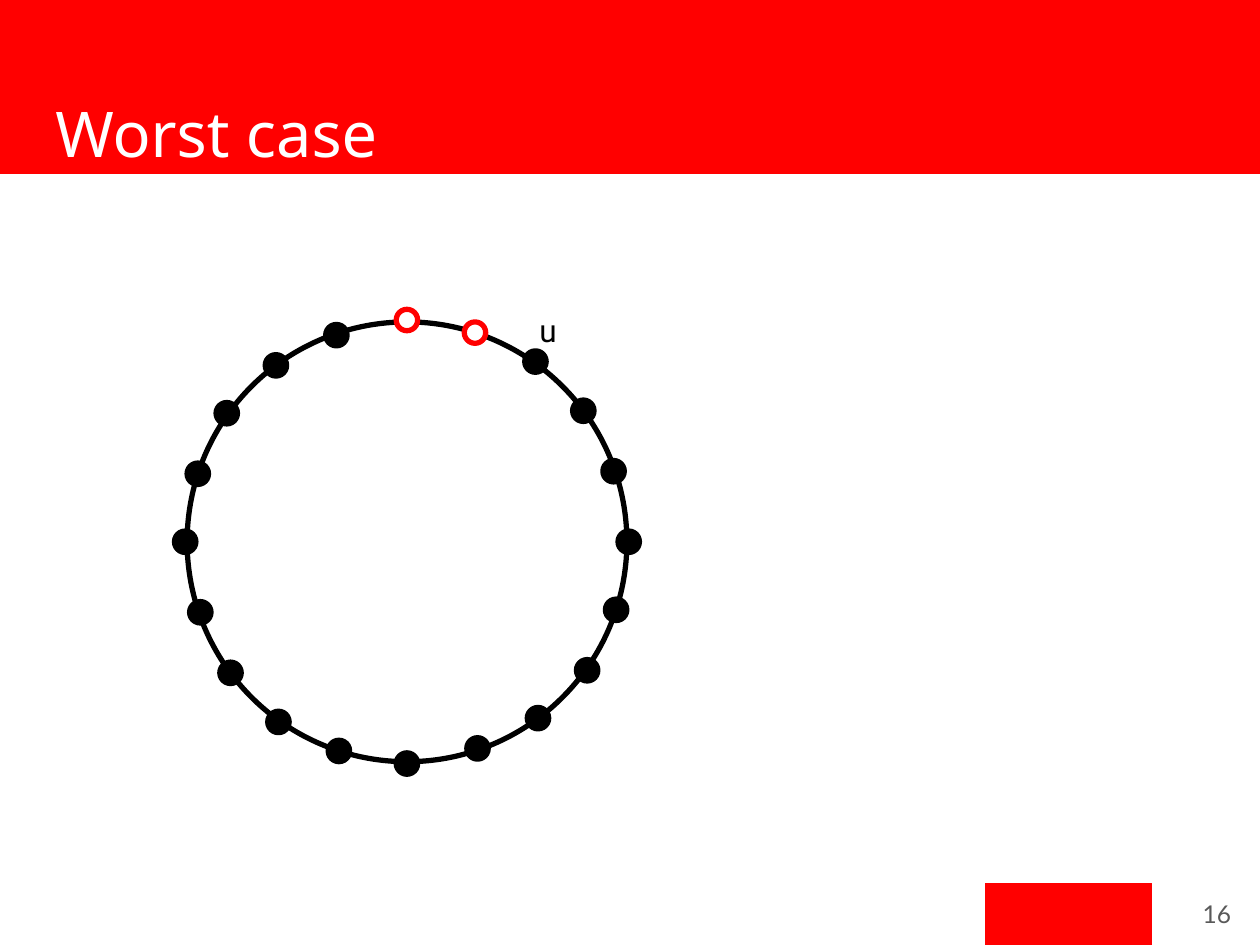
import pptx
import pptx.util
import pptx.dml.color
import pptx.enum.shapes
import pptx.enum.text

Inches, Pt = pptx.util.Inches, pptx.util.Pt
SHAPE = pptx.enum.shapes.MSO_SHAPE
ALIGN = pptx.enum.text.PP_ALIGN
ANCHOR = pptx.enum.text.MSO_ANCHOR

# Content
TITLE, PAGE, NODE_LABEL = "Worst case", "16", "u"
# Node offsets from the ring's centre over a quarter turn, clockwise from the top
QUARTER = [(0, -1.76), (0.54, -1.66), (1.02, -1.43), (1.4, -1.04), (1.64, -0.56)]
OPEN_NODES = {0, 1}

THEME = {
    "red": "FF0000", "black": "000000", "white": "FFFFFF", "grey": "595959",
    "title": ("Noto Sans", 36), "page": ("Lato", 14), "label": ("Roboto", 18),
    "thin": 0.75, "thick": 3,
}

# Layout
WIDTH, HEIGHT = 10, 7.5
CENTRE_X, CENTRE_Y = 3.23, 4.3
RING, NODE = 3.49, 0.17

deck = pptx.Presentation()
deck.slide_width, deck.slide_height = Inches(WIDTH), Inches(HEIGHT)
slide = deck.slides.add_slide(deck.slide_layouts[6])


def colour(name):
    return pptx.dml.color.RGBColor.from_string(THEME[name])


def add_figure(kind, box, fill, line, weight):
    figure = slide.shapes.add_shape(kind, *map(Inches, box))
    figure.shadow.inherit = False
    if fill:
        figure.fill.solid()
        figure.fill.fore_color.rgb = colour(fill)
    else:
        figure.fill.background()
    figure.line.color.rgb = colour(line)
    figure.line.width = Pt(THEME[weight])


def add_text(box, text, style, ink, align, anchor):
    frame = slide.shapes.add_textbox(*map(Inches, box)).text_frame
    frame.word_wrap = True
    frame.vertical_anchor = anchor
    frame.margin_left = frame.margin_right = Inches(0.1)
    frame.margin_top = frame.margin_bottom = Inches(0.1)
    paragraph = frame.paragraphs[0]
    paragraph.alignment = align
    run = paragraph.add_run()
    run.text = text
    run.font.name, size = THEME[style]
    run.font.size = Pt(size)
    run.font.color.rgb = colour(ink)


def add_disc(x, y, size, fill, line):
    box = (x - size / 2, y - size / 2, size, size)
    add_figure(SHAPE.OVAL, box, fill, line, "thick")


# Header band, footer block, title and page number
for block in [(0, 0, WIDTH, 1.38), (7.82, 7.01, 1.32, 0.49)]:
    add_figure(SHAPE.RECTANGLE, block, "red", "red", "thin")
add_text((0.34, 0.65, 9.32, 0.83), TITLE, "title", "white", ALIGN.LEFT, ANCHOR.TOP)
add_text((9.27, 6.97, 0.6, 0.57), PAGE, "page", "grey", ALIGN.RIGHT, ANCHOR.MIDDLE)

# Ring, with the quarter of nodes turned through four right angles
add_disc(CENTRE_X, CENTRE_Y, RING, None, "black")
nodes = list(QUARTER)
for _ in range(3):
    nodes += [(-dy, dx) for dx, dy in nodes[-len(QUARTER):]]
for index, (dx, dy) in enumerate(nodes):
    fill, line = ("white", "red") if index in OPEN_NODES else ("black", "black")
    add_disc(CENTRE_X + dx, CENTRE_Y + dy, NODE, fill, line)

# Label of the first node after the open ones
add_text((4.05, 2.37, 0.6, 0.7), NODE_LABEL, "label", "black", ALIGN.CENTER, ANCHOR.TOP)

deck.save("out.pptx")
